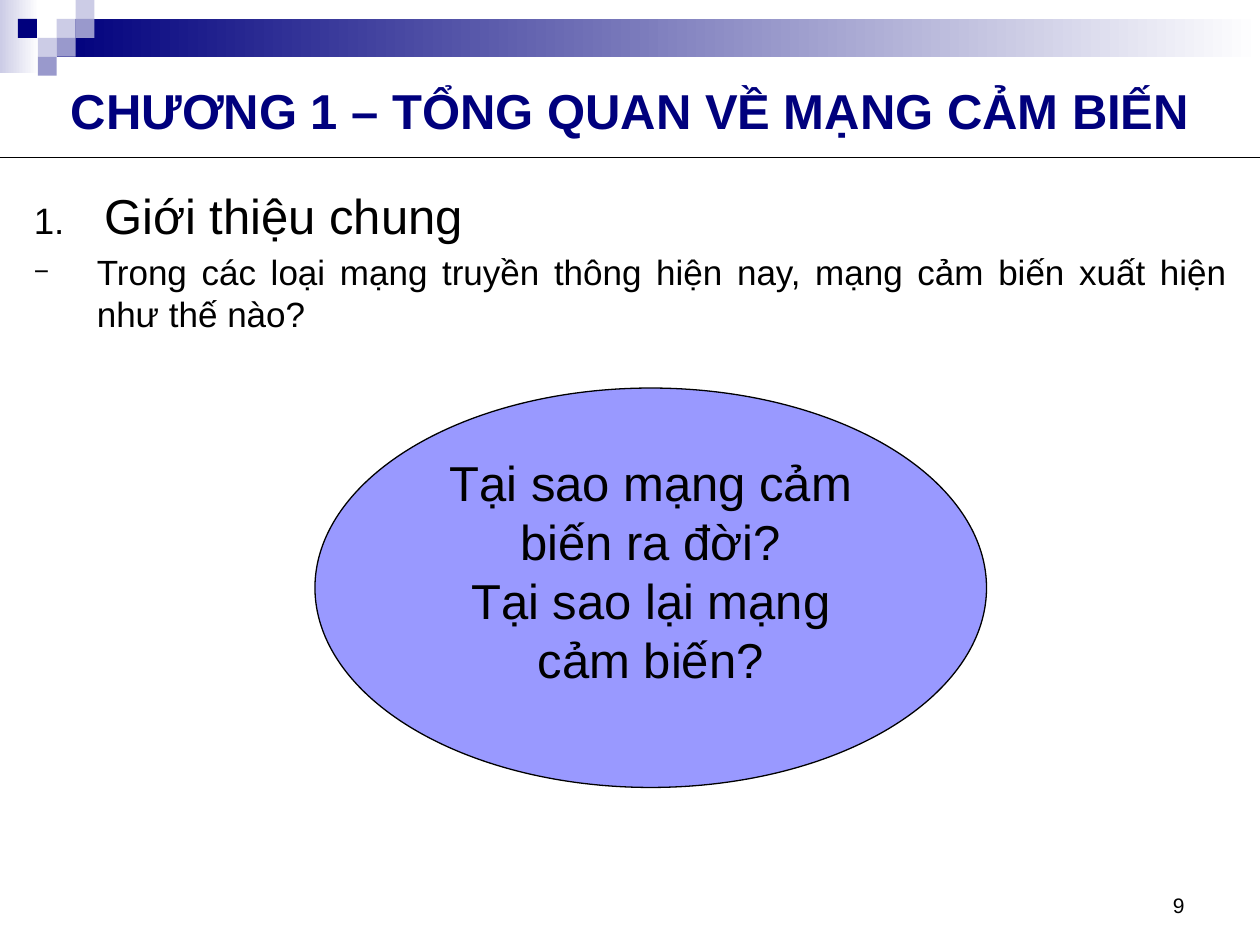
from pptx import Presentation
from pptx.dml.color import RGBColor
from pptx.enum.shapes import MSO_CONNECTOR, MSO_SHAPE
from pptx.enum.text import MSO_ANCHOR as ANCHOR, PP_ALIGN as ALIGN
from pptx.oxml.ns import qn
from pptx.util import Inches, Pt
from lxml.etree import SubElement

NAVY = RGBColor(0x00, 0x00, 0x7D)
LAVENDER = RGBColor(0xCC, 0xCC, 0xE6)
VIOLET = RGBColor(0x99, 0x99, 0xCC)
PERIWINKLE = RGBColor(0x99, 0x99, 0xFF)
BLACK = RGBColor(0, 0, 0)
WHITE = RGBColor(0xFF, 0xFF, 0xFF)


def add_shape(s, kind, x, y, w, h, color, fade=False):
    """Add a shape with a solid fill, or one fading to white, and no line."""
    sp = s.shapes.add_shape(kind, Inches(x), Inches(y), Inches(w), Inches(h))
    sp.shadow.inherit = False
    sp.line.fill.background()
    if fade:
        sp.fill.gradient()
        sp.fill.gradient_angle = 0
        for stop, rgb in zip(sp.fill.gradient_stops, (color, WHITE)):
            stop.color.rgb = rgb
    else:
        sp.fill.solid()
        sp.fill.fore_color.rgb = color
    return sp


def add_textbox(s, x, y, w, h, anchor=ANCHOR.TOP):
    """Add a wrapping text box and return its text frame."""
    tf = s.shapes.add_textbox(Inches(x), Inches(y), Inches(w), Inches(h)).text_frame
    tf.word_wrap = True
    tf.vertical_anchor = anchor
    return tf


def add_text(p, text, size, align, color=BLACK, bold=False):
    """Add one formatted run to an aligned paragraph."""
    p.alignment = align
    r = p.add_run()
    r.text = text
    r.font.name = "Arial"
    r.font.size = Pt(size)
    r.font.bold = bold
    r.font.color.rgb = color


def add_bullet(p, indent, tag, **attrs):
    """Give a paragraph a hanging bullet at three quarters of the text size."""
    pPr = p._p.get_or_add_pPr()
    pPr.set("marL", str(Inches(indent)))
    pPr.set("indent", str(-Inches(indent)))
    SubElement(pPr, qn("a:buSzPct"), val="75000")
    SubElement(pPr, qn("a:buFont"), typeface="Arial")
    SubElement(pPr, qn(tag), **attrs)


def add_banner(s, x, y, w):
    """Draw the fading bands and the checkered squares at the top."""
    unit = 0.15
    add_shape(s, MSO_SHAPE.RECTANGLE, x, y, 0.31, 0.58, LAVENDER, fade=True)
    add_shape(s, MSO_SHAPE.RECTANGLE, x + 3 * unit, y + unit,
              w - 3 * unit, 2 * unit, NAVY, fade=True)
    squares = [(3, 1, LAVENDER), (4, 0, LAVENDER), (4, 1, VIOLET), (2, 2, LAVENDER),
               (0.95, 1, NAVY), (3, 2, VIOLET), (2, 3, VIOLET)]
    for col, row, color in squares:
        add_shape(s, MSO_SHAPE.RECTANGLE, x + col * unit, y + row * unit,
                  unit, unit, color)


def add_title(s, x, y, w, h):
    """Write the chapter title with a rule along its lower edge."""
    tf = add_textbox(s, x, y, w, h, ANCHOR.MIDDLE)
    add_text(tf.paragraphs[0], "CHƯƠNG 1 – TỔNG QUAN VỀ MẠNG CẢM BIẾN", 28,
             ALIGN.CENTER, NAVY, bold=True)
    rule = s.shapes.add_connector(MSO_CONNECTOR.STRAIGHT, Inches(x), Inches(y + h),
                                  Inches(x + w), Inches(y + h))
    rule.line.color.rgb = BLACK
    rule.line.width = Pt(0.75)
    SubElement(rule._element.spPr, qn("a:effectLst"))


def add_body(s, x, y, w, h):
    """Write the numbered heading and the dashed question."""
    tf = add_textbox(s, x, y, w, h)
    items = [
        ("Giới thiệu chung", 28, 0.56, "a:buAutoNum", {"type": "arabicPeriod"}),
        ("Trong các loại mạng truyền thông hiện nay, mạng cảm biến xuất hiện "
         "như thế nào?", 20, 0.5, "a:buChar", {"char": "−"}),
    ]
    for i, (text, size, indent, tag, attrs) in enumerate(items):
        p = tf.add_paragraph() if i else tf.paragraphs[0]
        add_text(p, text, size, ALIGN.JUSTIFY)
        p.space_before = Pt(size * 0.2)
        add_bullet(p, indent, tag, **attrs)


def add_questions(s, x, y, w, h):
    """Draw the ellipse holding the two questions."""
    sp = add_shape(s, MSO_SHAPE.OVAL, x, y, w, h, PERIWINKLE)
    sp.line.color.rgb = BLACK
    sp.line.width = Pt(0.75)
    tf = sp.text_frame
    tf.word_wrap = True
    tf.vertical_anchor = ANCHOR.TOP
    questions = ["Tại sao mạng cảm biến ra đời?", "Tại sao lại mạng cảm biến?"]
    for i, text in enumerate(questions):
        p = tf.add_paragraph() if i else tf.paragraphs[0]
        add_text(p, text, 28, ALIGN.CENTER)


def add_page_number(s, x, y, w, h):
    """Write the page number at the lower right."""
    tf = add_textbox(s, x, y, w, h, ANCHOR.BOTTOM)
    add_text(tf.paragraphs[0], "9", 12, ALIGN.RIGHT)


def main():
    """Build the slide and save it."""
    prs = Presentation()
    prs.slide_width, prs.slide_height = Inches(10), Inches(7.5)
    s = prs.slides.add_slide(prs.slide_layouts[6])
    add_banner(s, 0, 0, 10)
    add_page_number(s, 7.17, 6.83, 2.33, 0.5)
    add_title(s, 0, 0.5, 10, 0.75)
    add_body(s, 0.17, 1.42, 9.67, 5.75)
    add_questions(s, 2.5, 3.08, 5.33, 3.17)
    prs.save("out.pptx")


if __name__ == "__main__":
    main()
